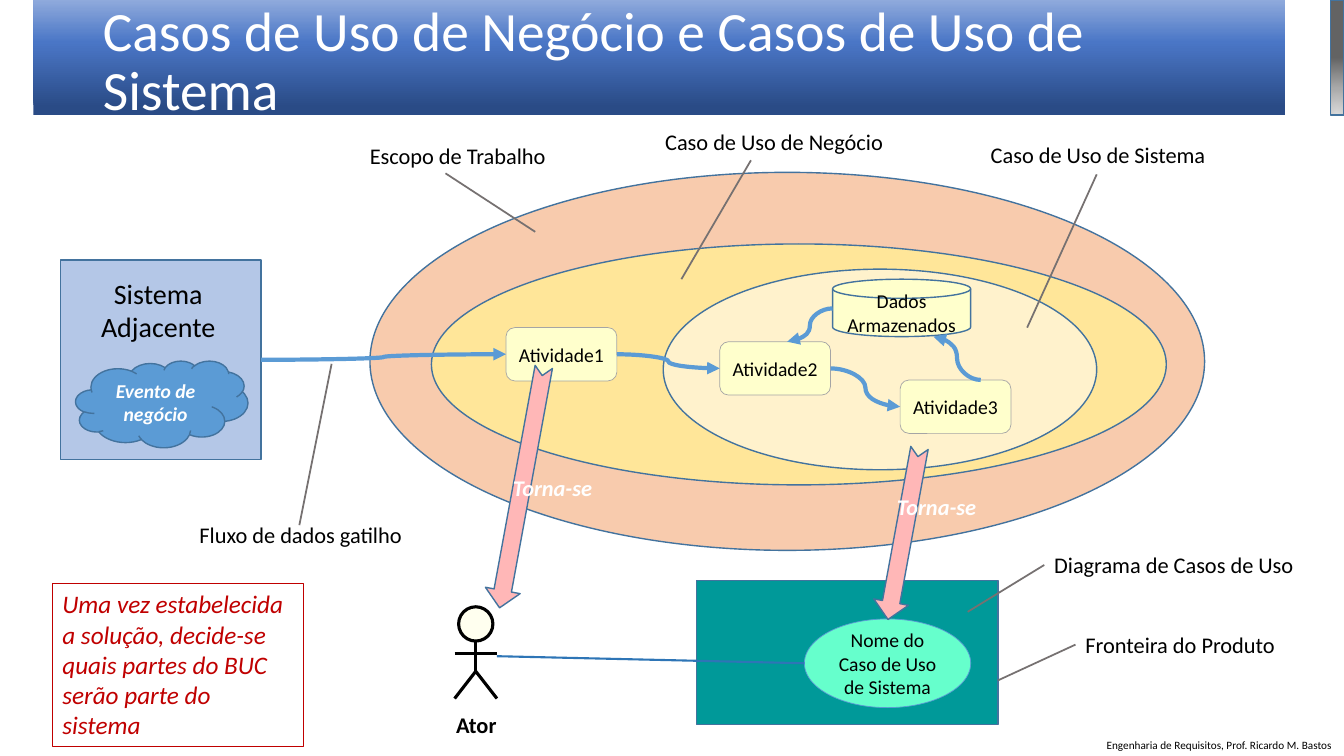
from lxml import etree
from pptx import Presentation, util as u
from pptx.dml import color as dc
from pptx.enum import shapes as sh, text as tx
from pptx.oxml import parse_xml
from pptx.oxml.ns import nsdecls, qn

HUES = {
    "ink": "000000", "white": "FFFFFF", "edge": "43739E", "flow": "5B9BD5",
    "lead": "767171", "link": "2E75B6", "grey": "A5A5A5", "red": "C00000",
    "sky": "B4C7E7", "scope": "F8CBAD", "case": "FFE699", "inner": "FFF2CC",
    "task": "FFFFCC", "head": "FFFFEF", "teal": "009999", "mint": "66FFCC",
    "pink": "FFB7B7", "navy": "2A4B86", "blue": "4A76C6", "pale": "8FAADC",
    "light": "DBDBDB", "mid": "AAAAAA", "dark": "636363",
}
KIND = sh.MSO_SHAPE
CELL = 0.1  # one column or row of the grid, in inches
COLS, ROWS = 133.33, 75


def grid(*vals):
    return [u.Inches(v * CELL) for v in vals]


def hue(name):
    return dc.RGBColor.from_string(HUES[name])


class Page:
    """Holds the font and the current slide; lengths are grid cells."""

    def __init__(self, deck, font):
        self.font = font
        self.slide = deck.slides.add_slide(deck.slide_layouts[5])
        self.home = self.slide.shapes

    def group(self):
        self.home = self.slide.shapes.add_group_shape().shapes

    def leave(self):
        self.home = self.slide.shapes

    def words(self, item, words, size, color="ink", bold=False, slant=False,
              align="CENTER", anchor="MIDDLE", grow=False, wrap=True):
        frame = item.text_frame
        frame.word_wrap = wrap
        frame.vertical_anchor = getattr(tx.MSO_ANCHOR, anchor)
        fit = tx.MSO_AUTO_SIZE
        frame.auto_size = fit.SHAPE_TO_FIT_TEXT if grow else fit.NONE
        para = frame.paragraphs[0]
        para.alignment = getattr(tx.PP_ALIGN, align)
        run = para.add_run()
        run.text = words
        font = run.font
        font.name, font.size = self.font, u.Pt(size)
        font.bold, font.italic = bold, slant
        font.color.rgb = hue(color)
        return para

    def title(self, words, box):
        item = self.slide.shapes.title
        item.left, item.top, item.width, item.height = grid(*box)
        para = self.words(item, words, 39.6, "white", align="LEFT")
        para.line_spacing = 0.9

    def shape(self, kind, box, fill=None, line="edge", width=1, turn=0):
        item = self.home.add_shape(kind, *grid(*box))
        item.shadow.inherit = False
        item.rotation = turn
        if fill:
            item.fill.solid()
            item.fill.fore_color.rgb = hue(fill)
        else:
            item.fill.background()
        if line:
            item.line.color.rgb = hue(line)
            item.line.width = u.Pt(width)
        else:
            item.line.fill.background()
        return item

    def blend(self, item, stops, way):
        marks = "".join(f'<a:gs pos="{pos * 1000}"><a:srgbClr val="{HUES[name]}"/></a:gs>'
                        for pos, name in stops)
        fill = parse_xml(f'<a:gradFill {nsdecls("a")} rotWithShape="1">'
                         f'<a:gsLst>{marks}</a:gsLst>{way}</a:gradFill>')
        props = item._element.spPr
        props.replace(props.find(qn("a:noFill")), fill)

    def label(self, words, box, size=16, color="ink", align="LEFT", **look):
        item = self.home.add_textbox(*grid(*box))
        self.words(item, words, size, color, align=align, anchor="TOP", grow=True, **look)
        return item

    def line(self, start, end, color="lead", width=1.25, curve=False, glue=()):
        kind = sh.MSO_CONNECTOR.CURVE if curve else sh.MSO_CONNECTOR.STRAIGHT
        item = self.home.add_connector(kind, *grid(*start, *end))
        item.line.color.rgb = hue(color)
        item.line.width = u.Pt(width)
        props = item._element.spPr
        if curve:
            etree.SubElement(props.find(qn("a:ln")), qn("a:tailEnd"), type="triangle")
        etree.SubElement(props, qn("a:effectLst"))
        for join, (part, side) in zip((item.begin_connect, item.end_connect), glue):
            join(part, side)
        return item


def main():
    deck = Presentation()
    deck.slide_width, deck.slide_height = grid(COLS, ROWS)
    page = Page(deck, "Calibri")

    # Title band, behind the title
    band = page.shape(KIND.RECTANGLE, (3.3, 0, 124.2, 11.4), line=None)
    page.blend(band, [(7, "navy"), (63, "blue"), (100, "pale")],
               '<a:lin ang="16200000" scaled="0"/>')
    page.slide.shapes.title._element.addprevious(band._element)
    page.title("Casos de Uso de Negócio e Casos de Uso de Sistema", (9.2, 1.1, 115, 10.3))
    page.label("Engenharia de Requisitos, Prof. Ricardo M. Bastos",
               (108.8, 72.8, 24.5, 2.4), 8)

    # Adjacent system
    page.group()
    system = page.shape(KIND.RECTANGLE, (6, 25.8, 19.9, 19.8), "sky")
    page.label("Sistema Adjacente", (6.8, 26.9, 17.8, 7.7), 20, align="CENTER")
    cloud = page.shape(KIND.CLOUD, (7.5, 35.8, 17.1, 8.6), "flow")
    page.words(cloud, "Evento de negócio", 14, "white", bold=True, slant=True)
    page.leave()

    # Work scope and use case diagram
    page.shape(KIND.OVAL, (36.7, 17.1, 82.8, 37.5), "scope")
    page.shape(KIND.RECTANGLE, (69.1, 57.6, 29.9, 14.3), "teal")
    usage = page.shape(KIND.OVAL, (79.8, 61.4, 16.5, 8.8), "mint", "flow", 0.5)
    page.words(usage, "Nome do Caso de Uso de Sistema", 14)

    # Actor
    name = page.home.add_textbox(*grid(44.2, 70, 6.1, 3.7))
    page.words(name, "Ator", 16, bold=True, grow=True, wrap=False)
    page.group()
    page.shape(KIND.OVAL, (45.5, 60.2, 3.4, 3.4), "head", "ink", 2.25)
    hip = (47.2, 66.6)
    for start, end in [(hip, (45.1, 69.3)), (hip, (49.3, 69.3)),
                       ((47.2, 63.7), hip), ((45.1, 64.8), (49.3, 64.8))]:
        page.line(start, end, "ink", 2.25)
    page.leave()
    page.line((49.3, 65.1), (79.8, 65.8), "link", 1.5)

    # Business and system use cases
    page.shape(KIND.OVAL, (42.8, 24.2, 72.9, 23.9), "case")
    page.shape(KIND.OVAL, (65.8, 26.7, 43, 19.9), "inner")

    # Activities and stored data
    tasks = {}
    for num, left, top in [(2, 71.4, 33.9), (3, 89.3, 37.7), (1, 50.2, 32.5)]:
        tasks[num] = page.shape(KIND.FLOWCHART_ALTERNATE_PROCESS,
                                (left, top, 11, 5.3), "task", "grey", 0.5)
        page.words(tasks[num], f"Atividade{num}", 14)
    store = page.shape(KIND.FLOWCHART_MAGNETIC_DISK, (82.6, 27.7, 13.7, 5.7), "task")
    page.words(store, "Dados Armazenados", 14)

    # Flows
    for start, end, glue in [
            ((25.9, 35.8), (50.2, 35.1), [(system, 3), (tasks[1], 1)]),
            ((61.2, 35.2), (71.4, 36.5), [(tasks[1], 3), (tasks[2], 1)]),
            ((82.4, 36.7), (89.3, 40.4), [(tasks[2], 3), (tasks[3], 1)]),
            ((97.3, 37.7), (92.6, 33.4), []),
            ((82.6, 30.6), (78.1, 33.9), [])]:
        page.line(start, end, "flow", 3, curve=True, glue=glue)

    # Arrows from the business view to the diagram
    for box in [(81, 51.2, 17.3, 3.5), (39.6, 46.6, 24.3, 3.5)]:
        page.shape(KIND.NOTCHED_RIGHT_ARROW, box, "pink", turn=100.4)
    for left, top in [(49.9, 46.5), (88, 48.4)]:
        page.label("Torna-se", (left, top, 10.2, 3.7), color="white", bold=True, slant=True)

    # Labels and their leader lines
    for words, left, top, wide, start, end in [
            ("Escopo de Trabalho", 35.7, 13.6, 25.1, (44.2, 17.2), (53.1, 23)),
            ("Caso de Uso de Negócio", 65, 12.2, 25.1, (74.5, 15.9), (67.6, 27.7)),
            ("Caso de Uso de Sistema", 97.3, 13.5, 25.1, (108.8, 17.3), (101.9, 32.5)),
            ("Fluxo de dados gatilho", 18.8, 51.2, 25.1, (29.7, 52.1), (32.9, 36.1)),
            ("Fronteira do Produto", 106.7, 62.1, 25.1, None, (99, 67.5)),
            ("Diagrama de Casos de Uso", 103.6, 54.2, 27.7, None, (96, 60.7))]:
        item = page.label(words, (left, top, wide, 3.7))
        glue = [] if start else [(item, 1)]
        page.line(start or (left, top + 1.85), end, glue=glue)

    # Note and side strip
    note = page.shape(KIND.RECTANGLE, (5.2, 57.9, 24.9, 16.2), None, "red", 0.75)
    page.words(note, "Uma vez estabelecida a solução, decide-se quais partes do BUC "
               "serão parte do sistema", 18, "red", slant=True, align="LEFT",
               anchor="TOP", grow=True)
    strip = page.shape(KIND.RECTANGLE, (132, 0, 1.33, 11.4))
    page.blend(strip, [(0, "light"), (46, "mid"), (100, "dark")],
               '<a:path path="circle"><a:fillToRect l="50000" t="130000" '
               'r="50000" b="-30000"/></a:path>')

    deck.save("out.pptx")


if __name__ == "__main__":
    main()
